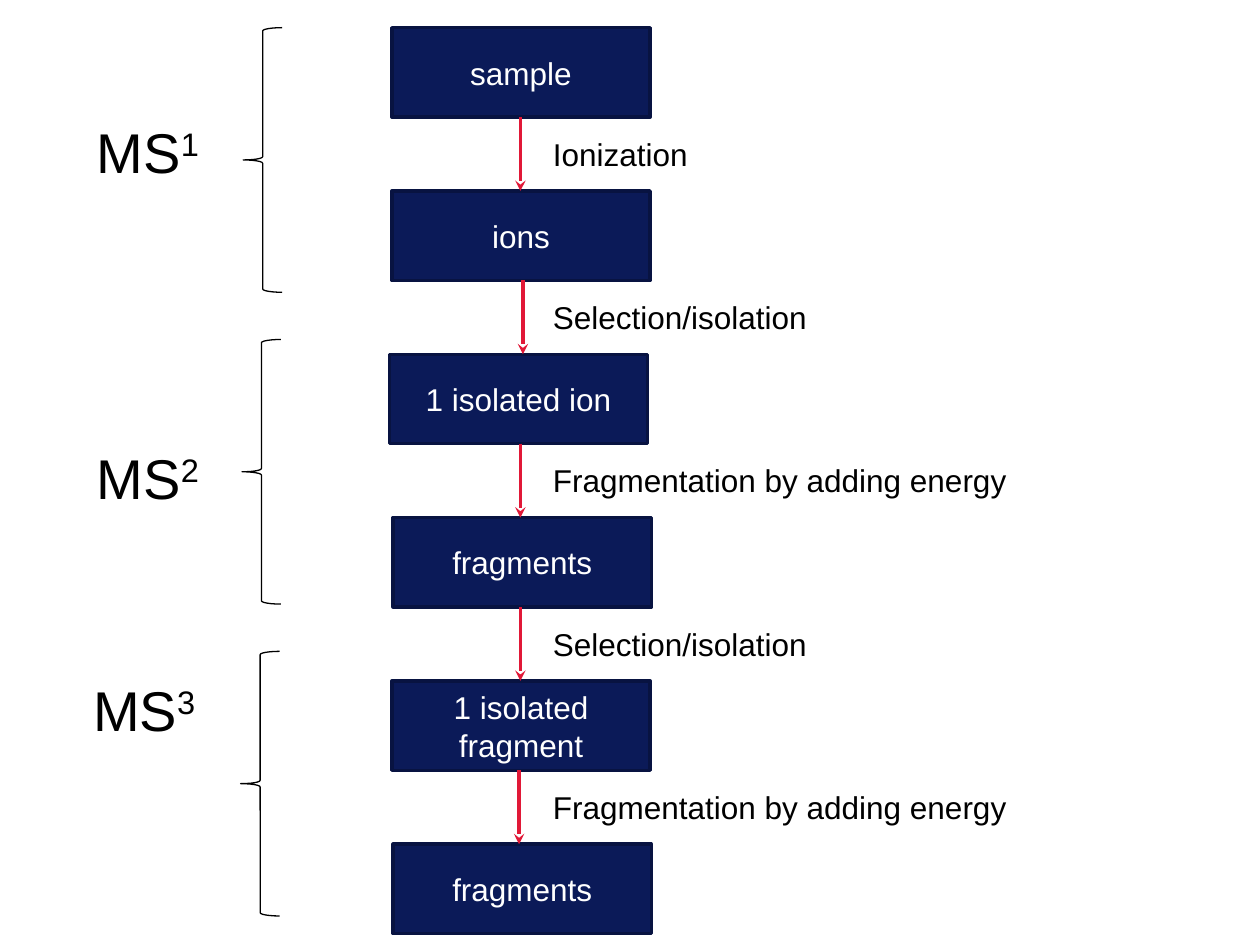
from dataclasses import dataclass

from lxml import etree
from pptx import Presentation
from pptx.dml.color import RGBColor
from pptx.enum.shapes import MSO_CONNECTOR, MSO_SHAPE
from pptx.enum.text import MSO_ANCHOR, MSO_AUTO_SIZE, PP_ALIGN
from pptx.oxml.ns import qn
from pptx.util import Inches, Pt

RECTANGLE, LEFT_BRACE = MSO_SHAPE.RECTANGLE, MSO_SHAPE.LEFT_BRACE
STRAIGHT = MSO_CONNECTOR.STRAIGHT
MIDDLE, CENTER, LEFT = MSO_ANCHOR.MIDDLE, PP_ALIGN.CENTER, PP_ALIGN.LEFT
FIT_SHAPE = MSO_AUTO_SIZE.SHAPE_TO_FIT_TEXT


@dataclass(frozen=True)
class Theme:
    font: str = "Arial"
    navy: str = "0B1A58"
    navy_edge: str = "081341"
    red: str = "E11837"
    black: str = "000000"
    white: str = "FFFFFF"
    body_size: float = 18
    stage_size: float = 32
    thick: float = 2
    thin: float = 0.75


@dataclass(frozen=True)
class Step:
    text: str
    left: float


@dataclass(frozen=True)
class Transition:
    text: str
    arrow_x: float
    width: float


@dataclass(frozen=True)
class Stage:
    level: str
    brace_left: float
    label_left: float
    label_top: float


THEME = Theme()
SLIDE_WIDTH, SLIDE_HEIGHT = 10, 7.5
TOP = 0.22
ROW_PITCH = (6.7 - TOP) / 5
BOX_WIDTH, BOX_HEIGHT = 2.05, 0.71
LABEL_LEFT, LABEL_OFFSET, LABEL_HEIGHT = 4.29, 0.8, 0.4
NARROW, WIDE = 2.76, 3.94
BRACE_PITCH = (5.17 - TOP) / 2
BRACE_WIDTH, BRACE_HEIGHT = 0.31, 2.1
STAGE_WIDTH, STAGE_HEIGHT = 1.1, 0.64

STEPS = [
    Step("sample", 3.11),
    Step("ions", 3.11),
    Step("1 isolated ion", 3.09),
    Step("fragments", 3.12),
    Step("1 isolated fragment", 3.11),
    Step("fragments", 3.12),
]
TRANSITIONS = [
    Transition("Ionization", 4.13, NARROW),
    Transition("Selection/isolation", 4.15, NARROW),
    Transition("Fragmentation by adding energy", 4.13, WIDE),
    Transition("Selection/isolation", 4.13, NARROW),
    Transition("Fragmentation by adding energy", 4.12, WIDE),
]
STAGES = [
    Stage("1", 1.93, 0.67, 0.88),
    Stage("2", 1.92, 0.67, 3.47),
    Stage("3", 1.91, 0.64, 5.31),
]


def row_top(row: int) -> float:
    return TOP + row * ROW_PITCH


def set_line(line, color: str, width: float) -> None:
    line.color.rgb = RGBColor.from_string(color)
    line.width = Pt(width)


def add_run(paragraph, text: str, size: float, color: str):
    run = paragraph.add_run()
    run.text = text
    for name, value in {"name": THEME.font, "size": Pt(size)}.items():
        setattr(run.font, name, value)
    run.font.color.rgb = RGBColor.from_string(color)
    return run


def add_step(slide, step: Step, row: int) -> None:
    shape = slide.shapes.add_shape(
        RECTANGLE, Inches(step.left), Inches(row_top(row)), Inches(BOX_WIDTH), Inches(BOX_HEIGHT)
    )
    shape.shadow.inherit = False
    shape.fill.solid()
    shape.fill.fore_color.rgb = RGBColor.from_string(THEME.navy)
    set_line(shape.line, THEME.navy_edge, THEME.thick)
    frame = shape.text_frame
    for name, value in {"word_wrap": True, "vertical_anchor": MIDDLE}.items():
        setattr(frame, name, value)
    paragraph = frame.paragraphs[0]
    paragraph.alignment = CENTER
    add_run(paragraph, step.text, THEME.body_size, THEME.white)


def add_arrow(slide, x: float, row: int) -> None:
    """Draw the arrow from the box in this row down to the next box."""
    connector = slide.shapes.add_connector(
        STRAIGHT, Inches(x), Inches(row_top(row) + BOX_HEIGHT), Inches(x), Inches(row_top(row + 1))
    )
    set_line(connector.line, THEME.red, THEME.thick)
    properties = connector.element.spPr
    tail = etree.SubElement(properties.find(qn("a:ln")), qn("a:tailEnd"))
    tail.set("type", "stealth")
    etree.SubElement(properties, qn("a:effectLst"))


def add_label(slide, left: float, top: float, width: float, height: float):
    """Add an empty text box and return its paragraph."""
    box = slide.shapes.add_textbox(Inches(left), Inches(top), Inches(width), Inches(height))
    for name, value in {"word_wrap": True, "auto_size": FIT_SHAPE}.items():
        setattr(box.text_frame, name, value)
    paragraph = box.text_frame.paragraphs[0]
    paragraph.alignment = LEFT
    return paragraph


def add_brace(slide, left: float, position: int) -> None:
    brace = slide.shapes.add_shape(
        LEFT_BRACE, Inches(left), Inches(TOP + position * BRACE_PITCH),
        Inches(BRACE_WIDTH), Inches(BRACE_HEIGHT),
    )
    brace.shadow.inherit = False
    brace.fill.background()
    set_line(brace.line, THEME.black, THEME.thin)


def add_stage_label(slide, stage: Stage) -> None:
    paragraph = add_label(slide, stage.label_left, stage.label_top, STAGE_WIDTH, STAGE_HEIGHT)
    add_run(paragraph, "MS", THEME.stage_size, THEME.black)
    superscript = add_run(paragraph, stage.level, THEME.stage_size, THEME.black)
    superscript._r.get_or_add_rPr().set("baseline", "30000")


def main() -> None:
    presentation = Presentation()
    presentation.slide_width = Inches(SLIDE_WIDTH)
    presentation.slide_height = Inches(SLIDE_HEIGHT)
    slide = presentation.slides.add_slide(presentation.slide_layouts[6])

    for row, step in enumerate(STEPS):
        add_step(slide, step, row)
    for row, transition in enumerate(TRANSITIONS):
        add_arrow(slide, transition.arrow_x, row)
    for row, transition in enumerate(TRANSITIONS):
        top = row_top(row) + LABEL_OFFSET
        paragraph = add_label(slide, LABEL_LEFT, top, transition.width, LABEL_HEIGHT)
        add_run(paragraph, transition.text, THEME.body_size, THEME.black)
    for position, stage in enumerate(STAGES):
        add_brace(slide, stage.brace_left, position)
    for stage in STAGES:
        add_stage_label(slide, stage)

    presentation.save("out.pptx")


if __name__ == "__main__":
    main()
